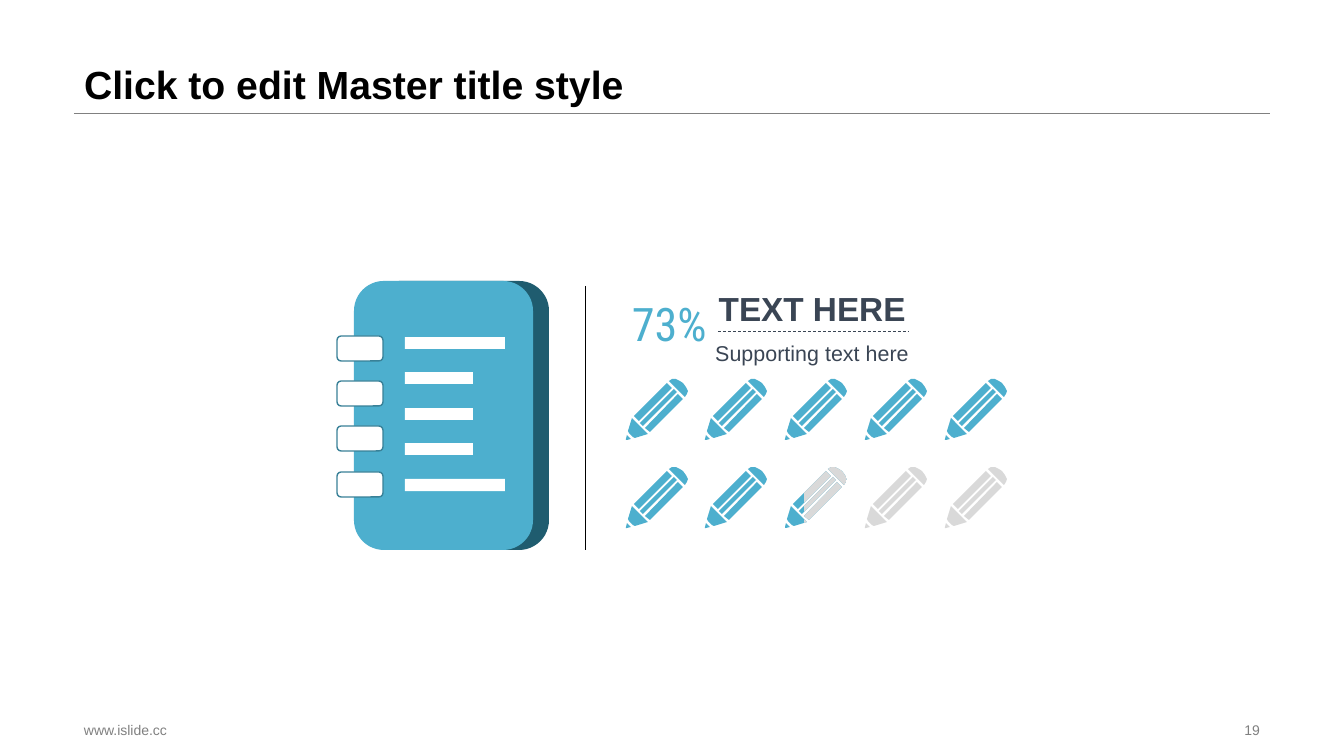
from lxml.etree import SubElement
from pptx import Presentation
from pptx.dml.color import RGBColor
from pptx.enum.dml import MSO_LINE
from pptx.enum.shapes import MSO_CONNECTOR, MSO_SHAPE
from pptx.enum.text import MSO_ANCHOR, PP_ALIGN
from pptx.oxml.ns import qn
from pptx.util import Emu, Pt

PX = 914400 / 100.8
HUES = {
    "black": "000000", "white": "FFFFFF", "gray": "808080", "pale": "D9D9D9",
    "blue": "4DAFCE", "deep": "1F5C6F", "ring": "398198", "slate": "3A4554",
}
HUES = {name: RGBColor.from_string(code) for name, code in HUES.items()}
LEFT, MID, RIGHT = PP_ALIGN.LEFT, PP_ALIGN.CENTER, PP_ALIGN.RIGHT

deck = Presentation()
deck.slide_width, deck.slide_height = Emu(round(1344 * PX)), Emu(round(756 * PX))
slide = deck.slides.add_slide(deck.slide_layouts[5])
shapes = slide.shapes


def write(text, area, size, hue, font="Arial", bold=False, align=LEFT,
          anchor=MSO_ANCHOR.MIDDLE, wrap=False, space=1.0, pad=10, box=None):
    spots = [Emu(round(n * PX)) for n in area]
    box = box or shapes.add_textbox(*spots)
    box.left, box.top, box.width, box.height = spots
    frame = box.text_frame
    frame.word_wrap = wrap
    frame.vertical_anchor = anchor
    frame.margin_left = frame.margin_right = Emu(round(pad * PX))
    line = frame.paragraphs[0]
    line.alignment, line.line_spacing = align, space
    run = line.add_run()
    run.text = text
    run.font.name, run.font.size, run.font.bold = font, Pt(size), bold
    run.font.color.rgb = HUES[hue]


def trace(parts, hue, x=0, y=0):
    pen = None
    for part in parts:
        spots = [(x + a, y + b) for a, b in part]
        if pen:
            pen.move_to(*spots[0])
        else:
            pen = shapes.build_freeform(*spots[0], scale=PX)
        pen.add_line_segments(spots[1:], close=True)
    form = pen.convert_to_shape()
    form.shadow.inherit = False
    form.fill.solid()
    form.fill.fore_color.rgb = HUES[hue]
    form.line.fill.background()
    return form


write("Click to edit Master title style", (74, 0, 1196, 113), 28, "black", bold=True,
      anchor=MSO_ANCHOR.BOTTOM, wrap=True, space=0.9, box=shapes.title)
write("www.islide.cc", (74, 718, 457, 23), 10, "gray", wrap=True)
write("19", (950, 718, 320, 23), 10, "gray", align=RIGHT, wrap=True)

pads = [(370, 281, 179, 269, "deep", None), (354, 281, 179, 269, "blue", None)]
pads += [(337, 336 + i * 136 // 3, 46, 25, "white", "ring") for i in range(4)]
for x, y, w, h, hue, edge in pads:
    pad = shapes.add_shape(MSO_SHAPE.ROUNDED_RECTANGLE,
                           *[Emu(round(n * PX)) for n in (x, y, w, h)])
    pad.shadow.inherit = False
    pad.fill.solid()
    pad.fill.fore_color.rgb = HUES[hue]
    if edge:
        pad.line.color.rgb = HUES[edge]
        pad.line.width = Pt(1)
    else:
        pad.line.fill.background()

rows = []
for i, w in enumerate((100, 68, 68, 68, 100)):
    y = 337 + i * 71 // 2
    rows.append([(405, y), (405 + w, y), (405 + w, y + 12), (405, y + 12)])
trace(rows, "white")

rules = [
    (74, 113, 1270, 113, "gray", 0.25, None),
    (585, 286, 585, 550, "black", 0.5, None),
    (718, 331, 909, 331, "slate", 0.5, MSO_LINE.DASH),
]
for x, y, end, foot, hue, size, dash in rules:
    rule = shapes.add_connector(MSO_CONNECTOR.STRAIGHT,
                                *[Emu(round(n * PX)) for n in (x, y, end, foot)])
    rule.line.color.rgb = HUES[hue]
    rule.line.width = Pt(size)
    rule.line.dash_style = dash
    SubElement(rule._element.spPr, qn("a:effectLst"))

PENCIL = [
    [(43, 3), (46, 1), (50, 1), (54, 3), (57, 5), (60, 9), (62, 13), (61, 16), (59, 19)],
    [(46, 10), (41, 5), (8, 38), (13, 43)],
    [(51, 14), (48, 11), (14, 45), (17, 48)],
    [(19, 50), (24, 54), (57, 21), (52, 16)],
    [(2, 53), (3, 55), (5, 57), (7, 59), (9, 60), (22, 56), (6, 40)],
    [(1, 57), (0, 61), (0, 62), (1, 62), (5, 61), (3, 59)],
]
for i in range(10):
    row, col = divmod(i, 5)
    form = trace(PENCIL, "blue" if i < 7 else "pale", 626 + col * 319 // 4, 378 + row * 88)
    if i == 7:
        form.fill.gradient()
        grad = form._element.spPr.find(qn("a:gradFill"))
        grad.find(qn("a:lin")).set("ang", "0")
        stops = grad.find(qn("a:gsLst"))
        for stop in list(stops):
            stops.remove(stop)
        for pos, hue in ((0, "blue"), (30, "blue"), (30, "pale"), (100, "pale")):
            stop = SubElement(stops, qn("a:gs"), pos=str(pos * 1000))
            SubElement(stop, qn("a:srgbClr"), val=str(HUES[hue]))

write("Supporting text here", (714, 335, 196, 30), 15.3, "slate", align=MID,
      anchor=MSO_ANCHOR.TOP, pad=0)
write("TEXT HERE", (714, 286, 196, 45), 23.8, "slate", bold=True, align=MID, pad=0)
write("73%", (632, 295, 77, 57), 33, "blue", font="Roboto Condensed", pad=0)

deck.save("out.pptx")
